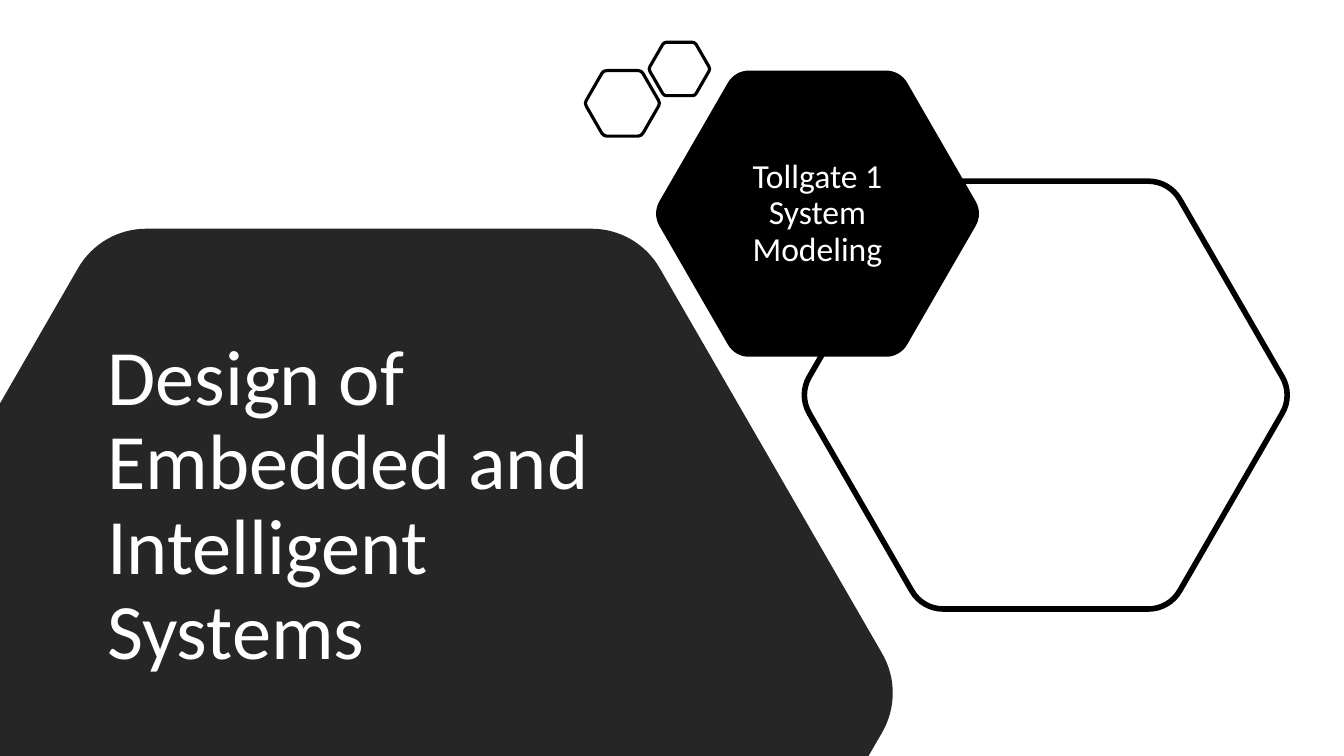
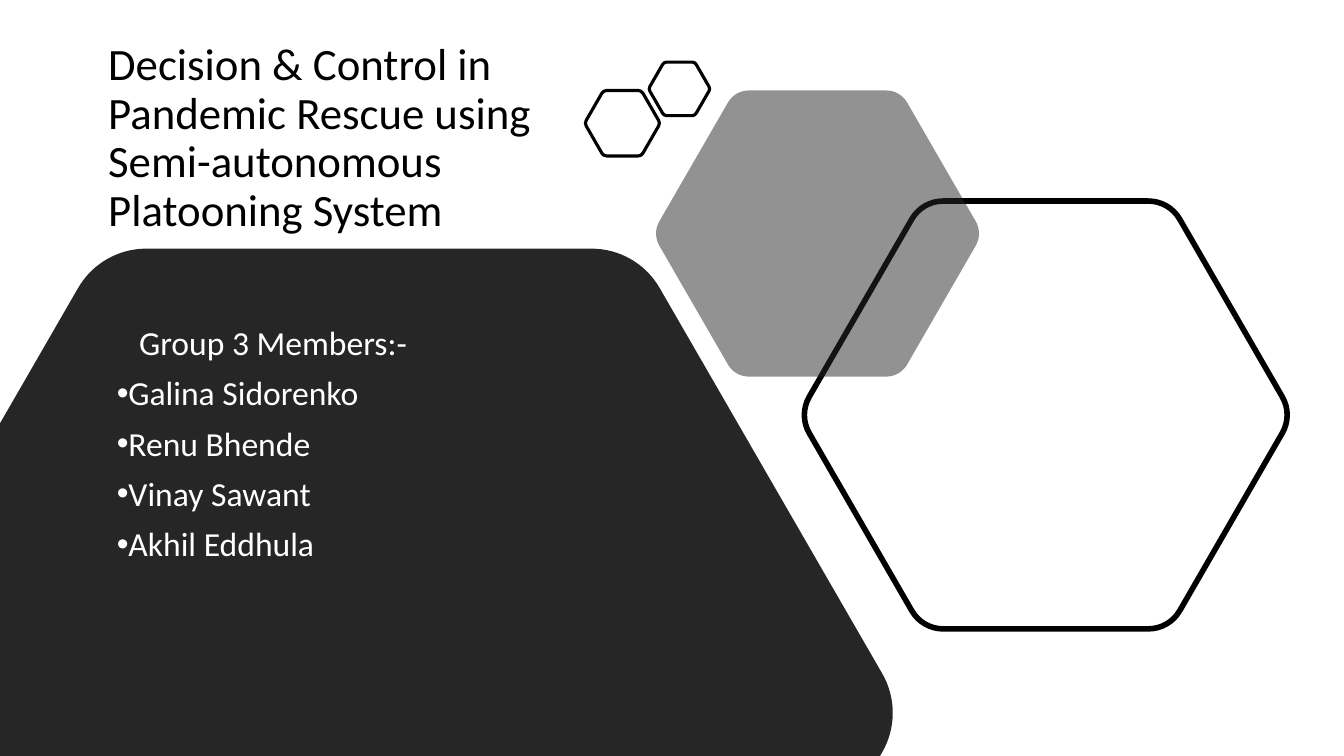
"""Builds two slides on a shared cluster of rounded hexagons."""
from math import cos, radians, sin

from lxml import etree
from pptx import Presentation
from pptx.dml.color import RGBColor
from pptx.enum.text import MSO_ANCHOR, PP_ALIGN
from pptx.oxml.ns import qn
from pptx.util import Pt

LEFT, CENTER = PP_ALIGN.LEFT, PP_ALIGN.CENTER
TOP, MIDDLE = MSO_ANCHOR.TOP, MSO_ANCHOR.MIDDLE

COLORS = {"white": "FFFFFF", "black": "000000", "charcoal": "262626"}
FONT = "Calibri"
SLIDE_WIDTH, SLIDE_HEIGHT = 960, 540
CORNER_RATIO = 0.17
CURVE_PULL = 0.62

PANEL = (263.5, 495, 331.6)
FRAME = (747, 282.2, 152.8)
ACCENT = (584, 152.6, 102.2)
ORNAMENTS = [(444.6, 73.8, 23.4), (485.3, 49.3, 19.1)]

SLIDES = [
    {
        "drop": 0,
        "accent": {"fill": "black"},
        "texts": [
            {"lines": ["Design of Embedded and Intelligent Systems"],
             "box": (69.5, 233.6, 403.2, 257), "size": 56},
            {"lines": ["Tollgate 1 System Modeling"],
             "box": (496.4, 105.6, 175, 94.3), "align": CENTER, "before": 10},
        ],
    },
    {
        "drop": 14.2,
        "accent": {"fill": "charcoal", "alpha": 50},
        "texts": [
            {"lines": ["Decision & Control in Pandemic Rescue using "
                       "Semi-autonomous Platooning System"],
             "box": (70.2, 33.8, 342.7, 131), "size": 32, "color": "black"},
            {"lines": ["Group 3 Members:-", "Galina Sidorenko", "Renu Bhende",
                       "Vinay Sawant", "Akhil Eddhula"],
             "box": (76.3, 229.6, 373.7, 243.4), "anchor": TOP, "before": 10,
             "heading_indent": 16},
        ],
    },
]


def rgb(name):
    return RGBColor.from_string(COLORS[name])


def hexagon_points(center_x, center_y, apothem):
    """Return (x, y, starts_curve) for the ends and handles of each corner."""
    radius = apothem * CORNER_RATIO
    reach = (apothem - radius) / cos(radians(30))
    tip = apothem / cos(radians(30))
    points = []
    for corner in range(0, 360, 60):
        angle = radians(corner)
        tip_x, tip_y = center_x + tip * cos(angle), center_y + tip * sin(angle)
        for turn, pull in ((-30, 0), (-30, CURVE_PULL), (30, CURVE_PULL), (30, 0)):
            side = radians(corner + turn)
            x = center_x + reach * cos(angle) + radius * cos(side)
            y = center_y + reach * sin(angle) + radius * sin(side)
            points.append((x + pull * (tip_x - x), y + pull * (tip_y - y),
                           turn < 0 < pull))
    return points


def clip(points, axis, limit, side):
    kept = []
    for start, end in zip(points, points[1:] + points[:1]):
        start_gap = side * (start[axis] - limit)
        end_gap = side * (end[axis] - limit)
        if start_gap >= 0:
            kept.append(start)
        if start_gap * end_gap < 0:
            share = start_gap / (start_gap - end_gap)
            x, y = (a + share * (b - a) for a, b in zip(start[:2], end[:2]))
            kept.append((x, y, False))
    return kept


def round_corners(hexagon, points):
    segments = list(hexagon.element.spPr.iter(qn("a:lnTo")))
    for index, (_, _, starts_curve) in enumerate(points[1:]):
        if starts_curve:
            curve = etree.Element(qn("a:cubicBezTo"))
            segments[index].addprevious(curve)
            for segment in segments[index:index + 3]:
                curve.append(segment[0])
                segment.getparent().remove(segment)


def add_hexagon(shapes, place, drop, fill=None, alpha=None, line_width=None):
    center_x, center_y, apothem = place
    points = hexagon_points(center_x, center_y + drop, apothem)
    points = clip(clip(points, 0, 0, 1), 1, SLIDE_HEIGHT, -1)
    corners = [(Pt(x), Pt(y)) for x, y, _ in points]
    builder = shapes.build_freeform(*corners[0])
    builder.add_line_segments(corners[1:], close=True)
    hexagon = builder.convert_to_shape()
    round_corners(hexagon, points)
    hexagon.shadow.inherit = False
    if fill:
        hexagon.fill.solid()
        hexagon.fill.fore_color.rgb = rgb(fill)
    else:
        hexagon.fill.background()
    if alpha:
        tint = next(hexagon.element.spPr.iter(qn("a:srgbClr")))
        etree.SubElement(tint, qn("a:alpha"), val=str(alpha * 1000))
    if line_width:
        hexagon.line.color.rgb = rgb("black")
        hexagon.line.width = Pt(line_width)
    else:
        hexagon.line.fill.background()


def add_text(slide, lines, box, size=24, color="white", align=LEFT,
             anchor=MIDDLE, before=0, heading_indent=0):
    frame = slide.shapes.add_textbox(*map(Pt, box)).text_frame
    frame.word_wrap = True
    frame.vertical_anchor = anchor
    for index, line in enumerate(lines):
        paragraph = frame.add_paragraph() if index else frame.paragraphs[0]
        paragraph.alignment = align
        paragraph.line_spacing = 0.9
        paragraph.space_before = Pt(before)
        run = paragraph.add_run()
        run.text = line
        run.font.name = FONT
        run.font.size = Pt(size)
        run.font.color.rgb = rgb(color)
        properties = paragraph._p.get_or_add_pPr()
        if index:
            properties.set("marL", "0")
            properties.set("indent", str(Pt(-18)))
            etree.SubElement(properties, qn("a:buFont"), typeface="Arial")
            etree.SubElement(properties, qn("a:buChar"), char="•")
        elif heading_indent:
            properties.set("marL", str(Pt(heading_indent)))


def add_cluster(slide, drop, accent):
    add_hexagon(slide.shapes, PANEL, drop, fill="charcoal")
    add_hexagon(slide.shapes, FRAME, drop, line_width=4)
    add_hexagon(slide.shapes, ACCENT, drop, **accent)
    ornament_group = slide.shapes.add_group_shape()
    for ornament in ORNAMENTS:
        add_hexagon(ornament_group.shapes, ornament, drop, line_width=2.25)


deck = Presentation()
deck.slide_width, deck.slide_height = Pt(SLIDE_WIDTH), Pt(SLIDE_HEIGHT)
for content in SLIDES:
    page = deck.slides.add_slide(deck.slide_layouts[6])
    add_cluster(page, content["drop"], content["accent"])
    for text in content["texts"]:
        add_text(page, **text)
deck.save("out.pptx")
